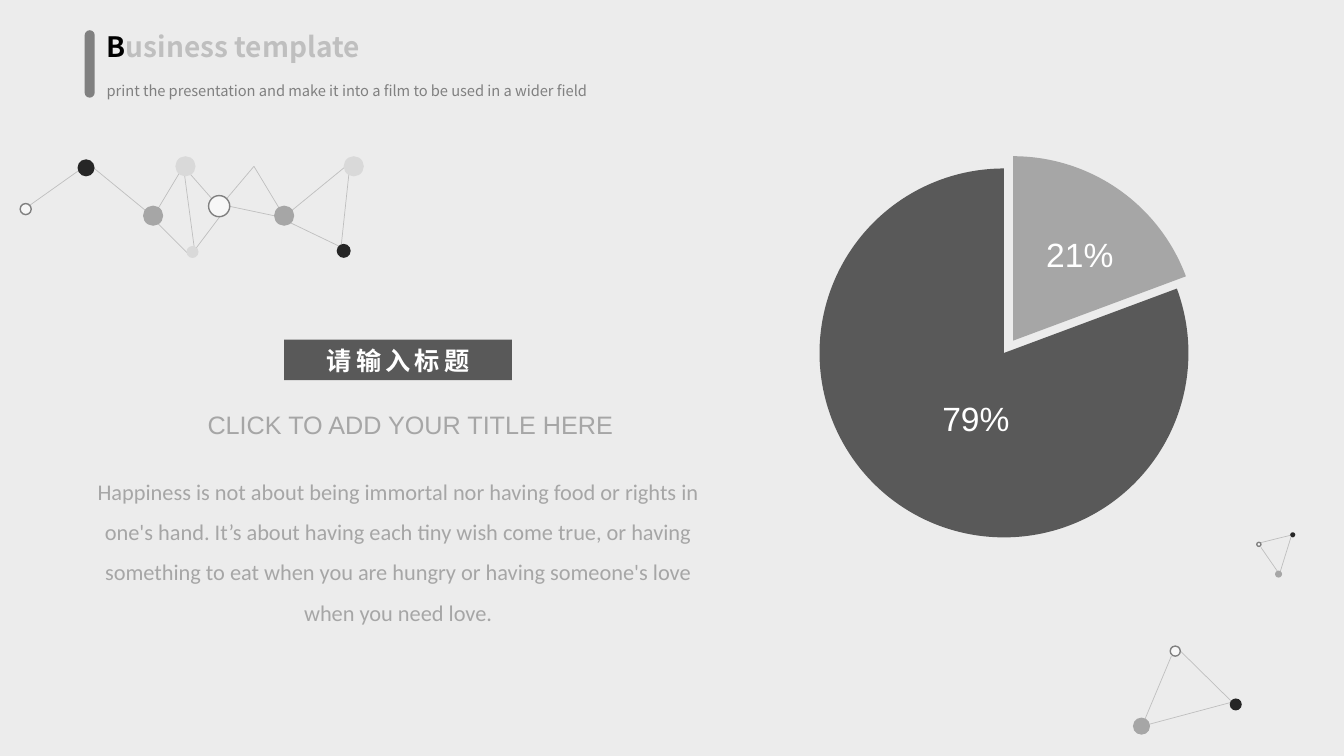
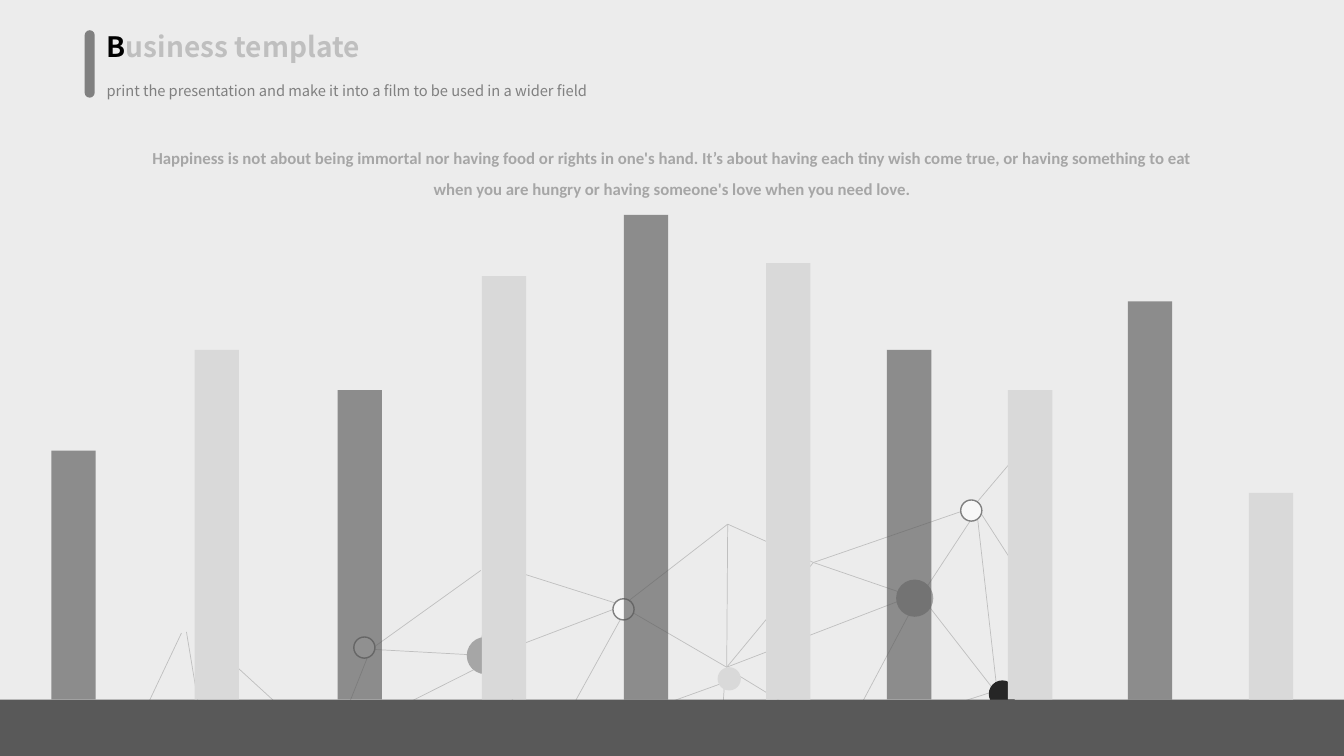
import pptx
import pptx.util
import pptx.dml.color
import pptx.enum.shapes
import pptx.enum.text
import pptx.oxml.ns
import lxml.etree

Pt = pptx.util.Pt
RGB = pptx.dml.color.RGBColor
KIND = pptx.enum.shapes.MSO_SHAPE
ALIGN = pptx.enum.text.PP_ALIGN
qn = pptx.oxml.ns.qn

PAPER = RGB(0xEC, 0xEC, 0xEC)
BLACK = RGB(0, 0, 0)
WHITE = RGB(0xFF, 0xFF, 0xFF)
INK = RGB(0x26, 0x26, 0x26)
DARK = RGB(0x59, 0x59, 0x59)
GRAY = RGB(0x80, 0x80, 0x80)
MID = RGB(0xA6, 0xA6, 0xA6)
SOFT = RGB(0xBF, 0xBF, 0xBF)
PALE = RGB(0xD9, 0xD9, 0xD9)
RING = RGB(0xF7, 0xF7, 0xF7)

SANS, BODY, HEAD = "Arial", "Calibri", "Noto Sans CJK SC"
WIDE, HIGH = 960, 540

QUOTE = (
    "Happiness is not about being immortal nor having food or rights in "
    "one's hand. It’s about having each tiny wish come true, or having "
    "something to eat when you are hungry or having someone's love when "
    "you need love."
)

# Links are (x1, y1, x2, y2); dots are (left, top, size, colour).
CHAIN_LINKS = [
    (232.6, 7.2, 188.6, 43.2), (186.5, 39.6, 167, 7.2),
    (235.4, 7.2, 229, 67), (188.6, 45.4, 230.4, 65.5),
    (167, 7.2, 147.6, 30.2), (181.4, 42.5, 144, 34.6),
    (46.1, 7.2, 6.5, 35.3), (51.1, 7.2, 95, 43.2),
    (97.2, 39.6, 116.6, 7.2), (116.6, 7.2, 136.8, 30.2),
    (116.6, 7.2, 124.6, 67), (97.9, 47.5, 121, 70.6),
    (123.1, 69.1, 142.6, 43.2),
]
CHAIN_DOTS = [
    (226.1, 62.6, 10, INK), (231.1, 0, 14.4, PALE),
    (134.6, 28.1, 15.1, RING), (181.4, 35.3, 14.4, MID),
    (0, 33.8, 7.9, RING), (87.8, 35.3, 14.4, MID),
    (118.8, 64.1, 8.6, PALE), (41, 2.2, 12.2, INK),
    (110.9, 0, 14.4, PALE),
]
LARGE_LINKS = [
    (7.2, 55.4, 27.4, 7.2), (5, 57.6, 74.9, 38.9), (72.7, 41.8, 31, 0.7),
]
LARGE_DOTS = [
    (69.1, 37.4, 8.6, INK), (0, 51.1, 12.2, MID), (26.6, 0, 7.2, RING),
]
SMALL_LINKS = [
    (15.8, 29.5, 2.9, 10.8), (15.8, 31, 25.2, 0.7), (23.8, 2.2, 0.7, 7.9),
]
SMALL_DOTS = [
    (23.8, 0, 3.6, INK), (13, 27.4, 5, MID), (0, 7.2, 2.9, RING),
]
WEB_LINKS = [
    (129.6, 128.2, 104.4, 181.4), (133.2, 127.4, 146.7, 208.8),
    (236.2, 213.8, 140.4, 126), (236.2, 211.7, 262.8, 144.7),
    (262.1, 141.8, 343.4, 83.5), (263.5, 139.7, 342, 144),
    (342, 151.9, 396, 205.2), (348.5, 145.4, 448.6, 107.3),
    (241.9, 203, 343.4, 151.9), (444.2, 116.6, 391.7, 211.7),
    (519.1, 152.6, 448.6, 111.6), (514.6, 208.8, 517.7, 161.3),
    (409.7, 202.3, 515.5, 164.2), (607.7, 207.4, 528.5, 159.1),
    (605.5, 197.3, 655.2, 103.7), (519.1, 152.6, 650.2, 102.2),
    (519.1, 152.6, 519.8, 50.4), (450, 104.4, 519.8, 50.4),
    (344.2, 131, 357.1, 80.6), (439.2, 106.6, 357.1, 80.6),
    (519.1, 152.6, 581, 77.8), (648, 100.8, 581, 77.8),
    (581, 77.8, 519.8, 50.4), (607, 203, 714.2, 168.5),
    (658.8, 103, 711.4, 170.6), (581, 77.8, 687.6, 41),
    (661.7, 95.8, 694.8, 45.4), (712.1, 168.5, 697.7, 41),
    (746.6, 113.8, 700.6, 42.5), (691.9, 41.8, 723.6, 4.3),
]
WEB_DOTS = [
    (252.7, 131, 15.1, RING), (512.6, 152.6, 16.6, PALE),
    (437.8, 103.7, 15.1, RING), (333.4, 131, 26.6, MID),
    (706.3, 162, 19.4, INK), (686.2, 33.1, 15.1, RING),
    (640.1, 90, 26.6, MID),
]
# Bars are (left, height).
BARS = [
    (36.7, 177.8), (139, 249.8), (241.2, 221), (344.2, 302.4),
    (445.7, 346.3), (547.2, 311.8), (633.6, 249.8), (720, 221),
    (805.7, 284.4), (892.1, 147.6),
]


def pts(*nums):
    return [Pt(num) for num in nums]


def form(shapes, kind, box, fill):
    """Add a plain filled shape."""
    item = shapes.add_shape(kind, *pts(*box))
    item.shadow.inherit = False
    item.fill.solid()
    item.fill.fore_color.rgb = fill
    item.line.fill.background()
    return item


def style(para, size, color, font, bold=False, align=ALIGN.LEFT, space=None):
    para.alignment = align
    para.line_spacing = space
    para.font.size = Pt(size)
    para.font.name = font
    para.font.bold = bold
    para.font.color.rgb = color


def text(slide, box, words, *look, **more):
    frame = slide.shapes.add_textbox(*pts(*box)).text_frame
    frame.word_wrap = True
    frame.text = words
    style(frame.paragraphs[0], *look, **more)


def net(slide, left, top, links, dots):
    """Draw a group of thin links with dots on top."""
    shapes = slide.shapes.add_group_shape().shapes
    for x1, y1, x2, y2 in links:
        link = shapes.add_connector(
            pptx.enum.shapes.MSO_CONNECTOR.STRAIGHT,
            *pts(left + x1, top + y1, left + x2, top + y2))
        link.line.color.rgb = SOFT
        link.line.width = Pt(0.5)
        lxml.etree.SubElement(link._element.spPr, qn("a:effectLst"))
    for x, y, size, color in dots:
        dot = form(shapes, KIND.OVAL, (left + x, top + y, size, size), color)
        if color == RING:
            dot.line.color.rgb = GRAY
            dot.line.width = Pt(1)


def header(slide, left, top):
    title = slide.shapes.title
    title.left, title.top, title.width, title.height = pts(
        left + 8.6, top - 4.3, 259.2, 31.7)
    frame = title.text_frame
    frame.word_wrap = True
    frame.auto_size = pptx.enum.text.MSO_AUTO_SIZE.NONE
    frame.vertical_anchor = pptx.enum.text.MSO_ANCHOR.TOP
    para = frame.paragraphs[0]
    style(para, 20, SOFT, HEAD, bold=True)
    for part, color in (("B", BLACK), ("usiness template", SOFT)):
        run = para.add_run()
        run.text = part
        run.font.color.rgb = color
    text(slide, (left + 8.6, top + 31, 384.5, 21.6),
         "print the presentation and make it into a film to be used "
         "in a wider field", 10.5, GRAY, HEAD, space=1.2)
    mark = form(slide.shapes, KIND.ROUNDED_RECTANGLE,
                (left, top, 7.2, 48.2), GRAY)
    mark.adjustments[0] = 0.5


def pie(slide, left, top, size):
    """Draw two sectors, the lighter one pulled out, with their shares."""
    noon, split = 162, 203.75
    for x, y, start, end, color in (
            (0, 8.8, split, noon, DARK), (6.5, 0, noon, split, MID)):
        part = form(slide.shapes, KIND.PIE,
                    (left + x, top + y, size, size), color)
        part.adjustments[0] = start
        part.adjustments[1] = end
    for x, y, share in ((154.8, 51.8, "21%"), (80.6, 169.2, "79%")):
        text(slide, (left + x, top + y, 72, 36), share, 24, WHITE, SANS)


def story(slide, left, top, width):
    text(slide, (left, top + 85.7, width, 120.2), QUOTE, 16, MID, BODY,
         align=ALIGN.CENTER, space=1.5)
    tag = form(slide.shapes, KIND.RECTANGLE,
               (left + 154, top, 162.7, 29), DARK)
    para = tag.text_frame.paragraphs[0]
    run = para.add_run()
    run.text = "请输入标题"
    run._r.get_or_add_rPr().set("spc", "300")
    style(para, 18, WHITE, SANS, bold=True, align=ALIGN.CENTER)
    text(slide, (left + 92.2, top + 46.1, 316.8, 29),
         "CLICK TO ADD YOUR TITLE HERE", 18, MID, SANS)


def bars(slide, left, base, wide):
    form(slide.shapes, KIND.RECTANGLE, (left, base, WIDE, HIGH - base), DARK)
    for num, (x, high) in enumerate(BARS):
        color = PALE if num % 2 else DARK
        bar = form(slide.shapes, KIND.RECTANGLE,
                   (left + x, base - high, wide, high), color)
        if color == DARK:
            tone = bar._element.spPr.find(qn("a:solidFill"))[0]
            lxml.etree.SubElement(tone, qn("a:alpha"), val="65000")


def main():
    deck = pptx.Presentation()
    deck.slide_width, deck.slide_height = pts(WIDE, HIGH)
    back = deck.slide_master.background.fill
    back.solid()
    back.fore_color.rgb = PAPER
    first, second = [
        deck.slides.add_slide(deck.slide_layouts[5]) for _ in range(2)]

    pie(first, 585.4, 111.6, 263.5)
    net(first, 14.4, 111.6, CHAIN_LINKS, CHAIN_DOTS)
    net(first, 809.3, 461.5, LARGE_LINKS, LARGE_DOTS)
    net(first, 897.8, 380.2, SMALL_LINKS, SMALL_DOTS)
    story(first, 49, 242.6, 470.9)

    net(second, 0, 324, WEB_LINKS, WEB_DOTS)
    bars(second, 0, 499.7, 31.7)
    text(second, (96.5, 95, 767.5, 49), QUOTE, 12, MID, BODY, bold=True,
         align=ALIGN.CENTER, space=1.5)

    for slide in (first, second):
        header(slide, 60.5, 21.6)
    deck.save("out.pptx")


if __name__ == "__main__":
    main()
